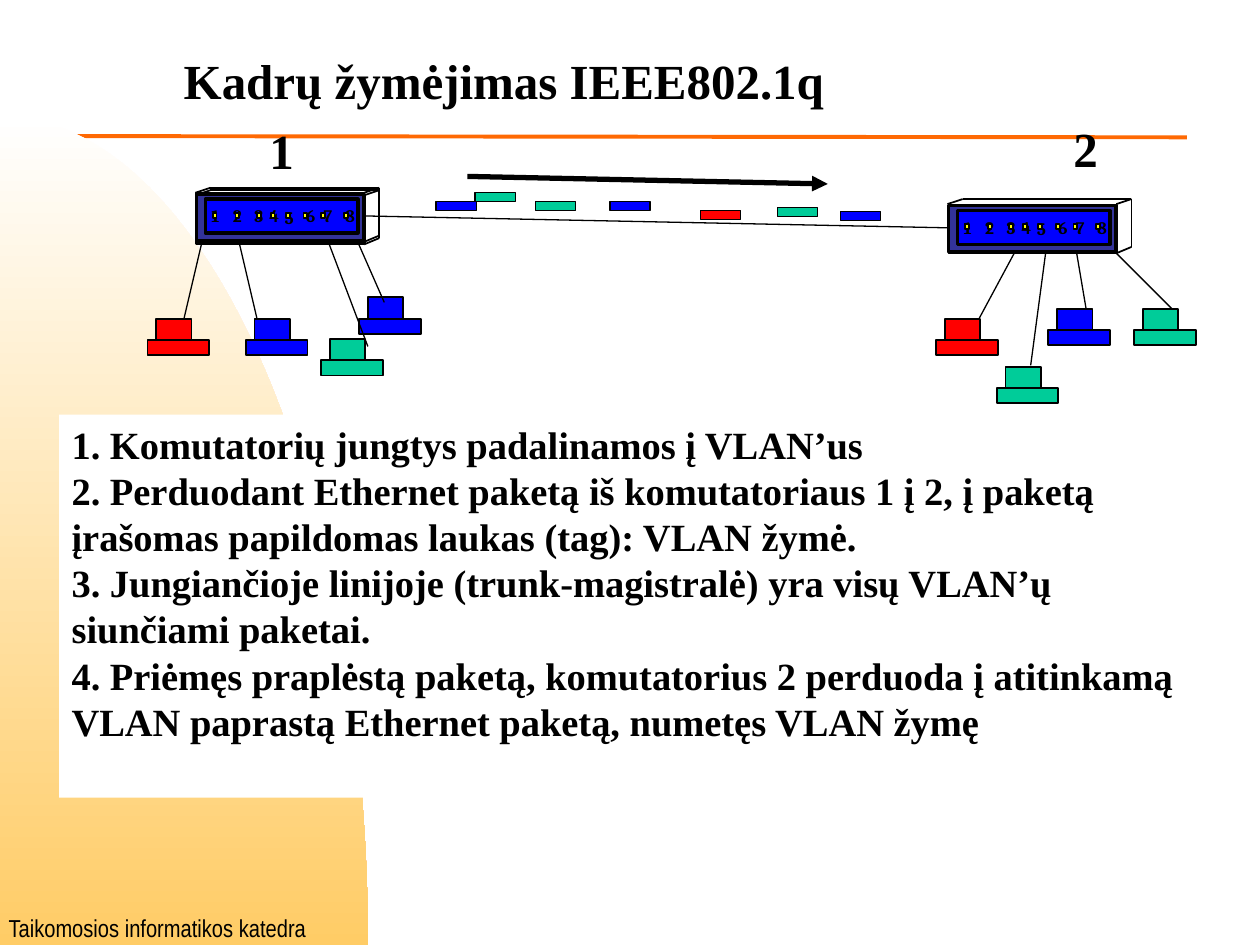
import math
from lxml import etree
from pptx import Presentation
from pptx.dml.color import RGBColor
from pptx.enum.shapes import MSO_CONNECTOR, MSO_SHAPE
from pptx.enum.text import PP_ALIGN
from pptx.oxml.ns import qn
from pptx.util import Inches, Pt

RECT = MSO_SHAPE.RECTANGLE
STRAIGHT = MSO_CONNECTOR.STRAIGHT
LEFT, CENTER = PP_ALIGN.LEFT, PP_ALIGN.CENTER

BLACK = RGBColor(0x00, 0x00, 0x00)
WHITE = RGBColor(0xFF, 0xFF, 0xFF)
ORANGE = RGBColor(0xFF, 0x69, 0x03)
SAND = RGBColor(0xFF, 0xCC, 0x66)
GREEN = RGBColor(0x00, 0xCC, 0x99)
BLUE = RGBColor(0x00, 0x00, 0xFF)
RED = RGBColor(0xFF, 0x00, 0x00)
YELLOW = RGBColor(0xFF, 0xFF, 0x00)
NAVY = RGBColor(0x33, 0x33, 0x99)
GRAY = RGBColor(0x80, 0x80, 0x80)

prs = Presentation()
prs.slide_width, prs.slide_height = Inches(10), Inches(7.5)
s = prs.slides.add_slide(prs.slide_layouts[6])
COL = prs.slide_width // 1000
ROW = prs.slide_height // 750


def add_text(text, x, y, w, h, size=28, font="Times New Roman", bold=True,
             align=LEFT, before=0, inset=(10, 5), fill=None):
    sp = s.shapes.add_textbox(x * COL, y * ROW, w * COL, h * ROW)
    if fill is not None:
        sp.fill.solid()
        sp.fill.fore_color.rgb = fill
    tf = sp.text_frame
    tf.word_wrap = False
    tf.margin_left = tf.margin_right = inset[0] * COL
    tf.margin_top = tf.margin_bottom = inset[1] * ROW
    for i, line in enumerate(text.split("\n")):
        p = tf.add_paragraph() if i else tf.paragraphs[0]
        p.alignment = align
        p.space_before = Pt(before)
        r = p.add_run()
        r.text = line
        r.font.size, r.font.name, r.font.bold = Pt(size), font, bold
        r.font.color.rgb = BLACK


def draw(x, y, w, h, fill=None, color=BLACK, width=1):
    if fill is None:
        sp = s.shapes.add_connector(STRAIGHT, x * COL, y * ROW, (x + w) * COL, (y + h) * ROW)
    else:
        sp = s.shapes.add_shape(RECT, x * COL, y * ROW, w * COL, h * ROW)
        sp.shadow.inherit = False
        sp.fill.solid()
        sp.fill.fore_color.rgb = fill
    sp.line.color.rgb = color
    sp.line.width = Pt(width)
    if fill is None:
        etree.SubElement(sp._element.spPr, qn("a:effectLst"))
    return sp


draw(42, 108, 900, 1, color=ORANGE, width=2.25)

STEPS = 60
angles = [math.pi / 2 * i / STEPS for i in range(STEPS + 1)]
curve = [(round(292 * math.sin(a) * COL), round((750 - 658 * math.cos(a)) * ROW)) for a in angles]
fb = s.shapes.build_freeform(*curve[0])
fb.add_line_segments(curve[1:] + [(0, 750 * ROW)], close=True)
sp = fb.convert_to_shape()
sp.shadow.inherit = False
sp.line.fill.background()
sp.fill.gradient()
sp.fill.gradient_angle = 270
for stop, color in zip(sp.fill.gradient_stops, (WHITE, SAND)):
    stop.color.rgb = color

add_text("Taikomosios informatikos katedra", 0, 724, 250, 26, size=14, font="Arial Narrow",
         bold=False, align=CENTER, before=8.8, inset=(1, 1))
add_text("Kadrų žymėjimas IEEE802.1q", 136, 35, 538, 57)
add_text("1. Komutatorių jungtys padalinamos į VLAN’us\n"
         "2. Perduodant Ethernet paketą iš komutatoriaus 1 į 2, į paketą\n"
         "įrašomas papildomas laukas (tag): VLAN žymė.\n"
         "3. Jungiančioje linijoje (trunk-magistralė) yra visų VLAN’ų\n"
         "siunčiami paketai.\n"
         "4. Priėmęs praplėstą paketą, komutatorius 2 perduoda į atitinkamą\n"
         "VLAN paprastą Ethernet paketą, numetęs VLAN žymę",
         47, 329, 894, 304, size=22, fill=WHITE)

draw(761, 181, -491, -10, width=0.75)

ports = list(zip("12345678", (2, 19, 36, 48, 60, 77, 91, 108), (13, 31, 48, 59, 71, 85, 99, 117)))
edges = [(-1, -1, 12, -4), (133, -1, 12, -4), (11, -5, 134, 0), (145, -5, 0, 38), (133, 38, 12, -5)]
right_hosts = [(907, 245, GREEN), (839, 245, BLUE), (798, 291, GREEN), (750, 253, RED)]
right_links = [(871, 186, 59, 59), (852, 186, 10, 59), (813, 186, -36, 67), (832, 185, -14, 105)]
left_hosts = [(124, 253, RED), (202, 253, BLUE), (262, 269, GREEN), (292, 236, BLUE)]
left_links = [(165, 172, -19, 81), (185, 172, 19, 81), (253, 172, 39, 103), (276, 174, 29, 66)]
switches = [(753, 163, NAVY, right_hosts, right_links, ports),
            (156, 156, GRAY, [], [], ports[-1:]),
            (156, 154, NAVY, left_hosts, left_links, ports)]

for x, y, body, hosts, links, shown in switches:
    for hx, hy, color in hosts:
        draw(hx, hy, 28, 18, color)
        draw(hx - 7, hy + 17, 49, 12, color)
    for link in links:
        draw(*link, width=0.75)
    draw(x, y, 133, 37, body, width=2)
    if body == NAVY:
        draw(x + 7, y + 4, 121, 27, BLUE, width=2)
    for dx, dy, w, h in edges:
        draw(x + dx, y + dy, w, h)
    for digit, dx, led in shown:
        add_text(digit, x + dx, y + 4 + (digit == "5"), 28, 27, size=10, font="Cambria")
        if body == NAVY:
            draw(x + led, y + 15, 3, 4, YELLOW)

frames = [(556, 167, RED), (377, 153, GREEN), (425, 160, GREEN), (617, 165, GREEN),
          (346, 160, BLUE), (484, 160, BLUE), (667, 168, BLUE)]
for x, y, color in frames:
    draw(x, y, 32, 7, color, width=0.75)

arrow = draw(371, 140, 286, 6, width=3)
etree.SubElement(arrow.line._get_or_add_ln(), qn("a:tailEnd"), type="triangle")

for digit, x, y in [("1", 204, 91), ("2", 842, 89)]:
    add_text(digit, x, y, 39, 57)

prs.save("out.pptx")
